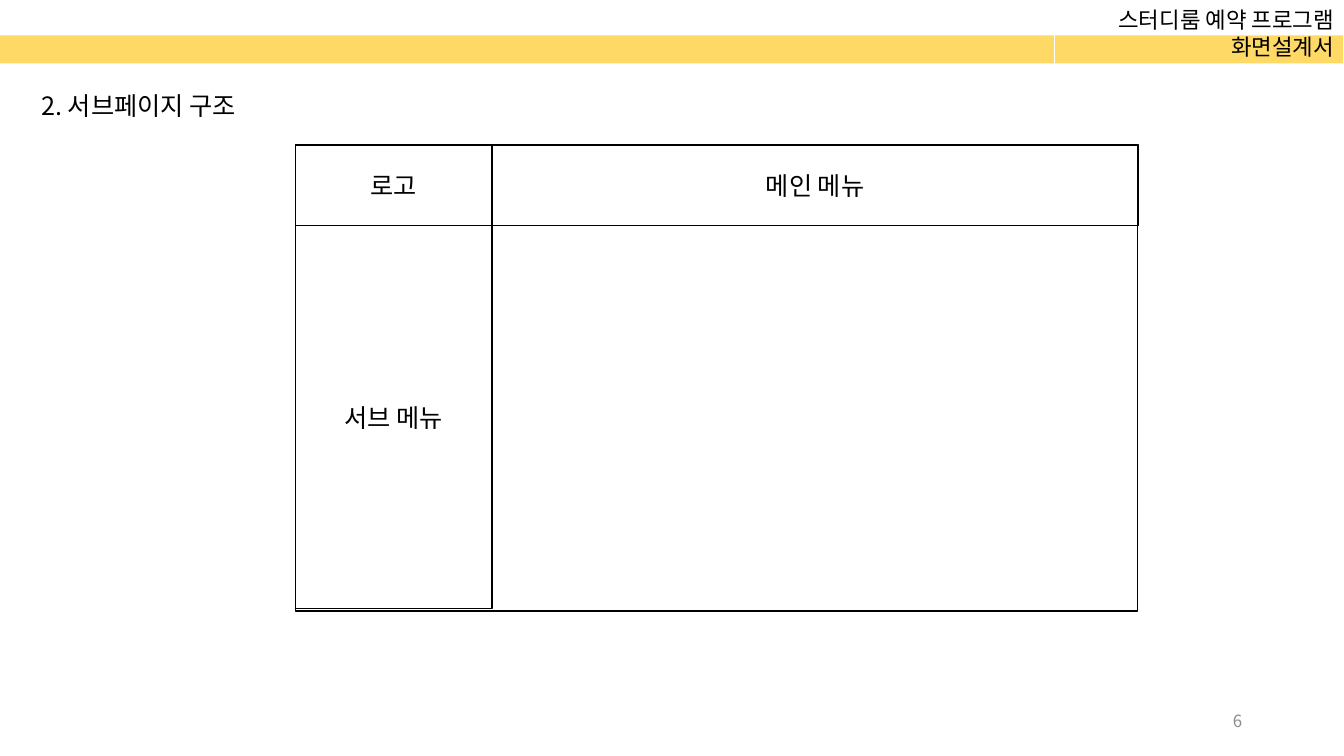
from dataclasses import dataclass

from lxml import etree
from pptx import Presentation
from pptx import util as u
from pptx.dml.color import RGBColor
from pptx.enum import shapes, text
from pptx.oxml.ns import qn
from pptx.shapes.autoshape import Shape
from pptx.slide import Slide


@dataclass(frozen=True)
class Theme:
    font: str = "Noto Sans CJK KR"
    ink: str = "000000"
    band: str = "FFD966"
    paper: str = "FFFFFF"
    muted: str = "8C8C8C"
    body_size: int = 18
    header_size: int = 16
    number_size: int = 12


@dataclass(frozen=True)
class Box:
    left: float
    top: float
    width: float
    height: float


@dataclass(frozen=True)
class Region:
    box: Box
    label: str = ""


THEME = Theme()
LEFT, TOP, SIDE, MENU, HEADER = 2.93, 1.44, 1.95, 6.41, 0.8
REGIONS = (
    Region(Box(LEFT, TOP, 8.35, 4.62)),
    Region(Box(LEFT, TOP, SIDE, HEADER), "로고"),
    Region(Box(LEFT + SIDE, TOP, MENU, HEADER), "메인 메뉴"),
    Region(Box(LEFT, TOP + HEADER, SIDE, 3.8), "서브 메뉴"),
)


def place(shape: Shape, box: Box) -> None:
    shape.left, shape.top = u.Inches(box.left), u.Inches(box.top)
    shape.width, shape.height = u.Inches(box.width), u.Inches(box.height)


def write(shape: Shape, lines: tuple[str, ...], size: int, color: str,
          align: text.PP_ALIGN, anchor: text.MSO_ANCHOR, wrap: bool = True) -> None:
    frame = shape.text_frame
    frame.word_wrap = wrap
    frame.auto_size = text.MSO_AUTO_SIZE.NONE
    frame.vertical_anchor = anchor
    for index, line in enumerate(lines):
        paragraph = frame.add_paragraph() if index else frame.paragraphs[0]
        paragraph.alignment = align
        run = paragraph.add_run()
        run.text = line
        run.font.size = u.Pt(size)
        run.font.color.rgb = RGBColor.from_string(color)
        run.font.name = THEME.font
        etree.SubElement(run.font._element, qn("a:ea"), typeface=THEME.font)


def add_rectangle(slide: Slide, box: Box, fill: str = "", line: str = "",
                  line_width: float = 1) -> Shape:
    rectangle = slide.shapes.add_shape(shapes.MSO_SHAPE.RECTANGLE, 0, 0, 0, 0)
    place(rectangle, box)
    rectangle.shadow.inherit = False
    if fill:
        rectangle.fill.solid()
        rectangle.fill.fore_color.rgb = RGBColor.from_string(fill)
    else:
        rectangle.fill.background()
    if line:
        rectangle.line.color.rgb = RGBColor.from_string(line)
        rectangle.line.width = u.Pt(line_width)
    else:
        rectangle.line.fill.background()
    return rectangle


def add_header(slide: Slide) -> None:
    add_rectangle(slide, Box(0, 0.35, 13.33, 0.28), fill=THEME.band)
    document_name = add_rectangle(slide, Box(10.46, 0.01, 2.87, 0.64),
                                  line=THEME.paper, line_width=0)
    write(document_name, ("스터디룸 예약 프로그램", "화면설계서"), THEME.header_size,
          THEME.ink, text.PP_ALIGN.RIGHT, text.MSO_ANCHOR.MIDDLE, wrap=False)


def add_page_number(slide: Slide) -> None:
    page_number = slide.shapes.add_textbox(0, 0, 0, 0)
    place(page_number, Box(9.42, 6.95, 3, 0.4))
    write(page_number, ("6",), THEME.number_size, THEME.muted,
          text.PP_ALIGN.RIGHT, text.MSO_ANCHOR.MIDDLE)


def add_region(slide: Slide, region: Region) -> None:
    rectangle = add_rectangle(slide, region.box, line=THEME.ink)
    if region.label:
        write(rectangle, (region.label,), THEME.body_size, THEME.ink,
              text.PP_ALIGN.CENTER, text.MSO_ANCHOR.MIDDLE)


def main() -> None:
    deck = Presentation()
    deck.slide_width, deck.slide_height = u.Inches(13.33), u.Inches(7.5)
    slide = deck.slides.add_slide(deck.slide_layouts[5])
    add_header(slide)
    add_page_number(slide)
    heading = slide.shapes.title
    place(heading, Box(0.31, 0.85, 2.35, 0.4))
    write(heading, ("2. 서브페이지 구조",), THEME.body_size, THEME.ink,
          text.PP_ALIGN.LEFT, text.MSO_ANCHOR.TOP)
    for region in REGIONS:
        add_region(slide, region)
    deck.save("out.pptx")


if __name__ == "__main__":
    main()
